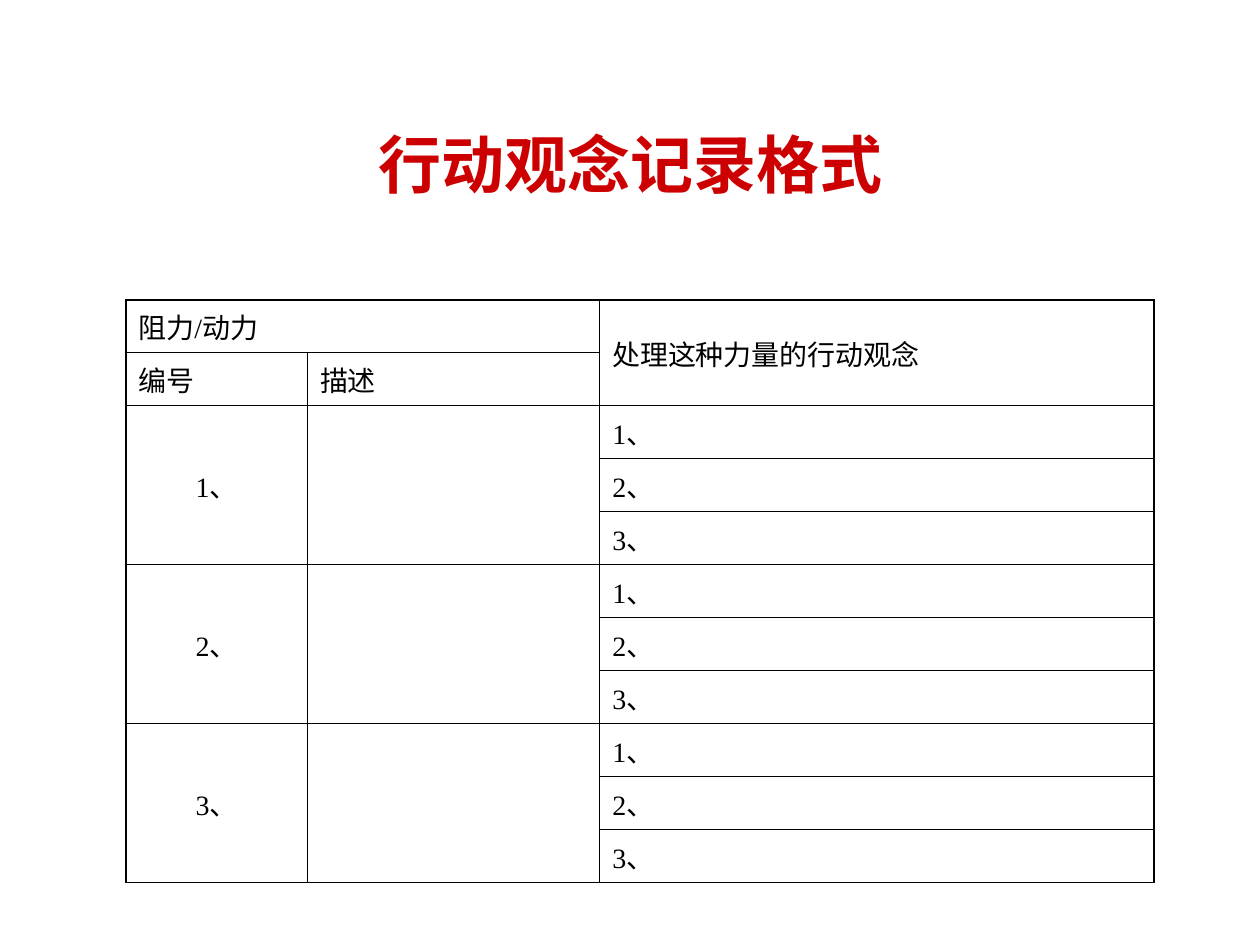
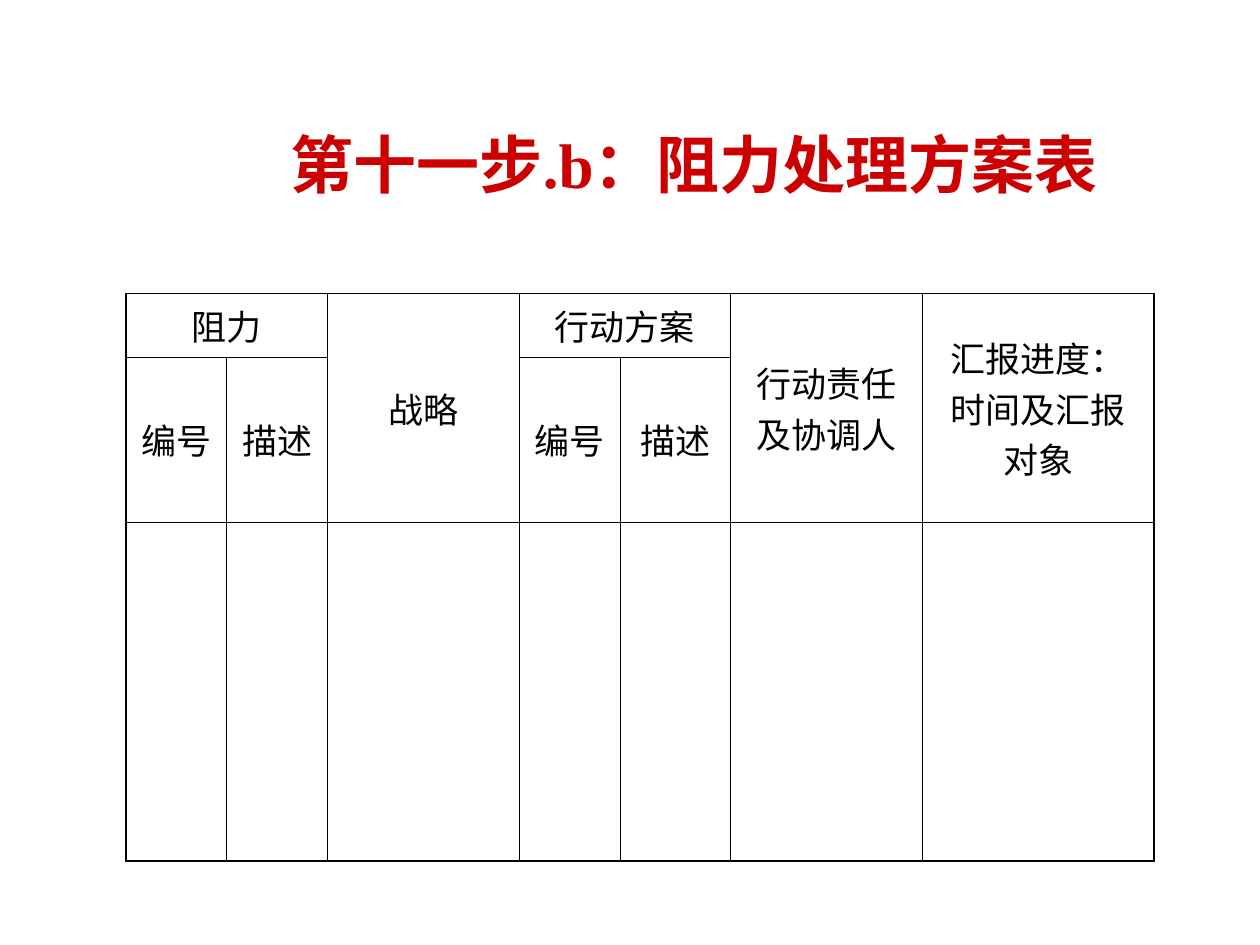
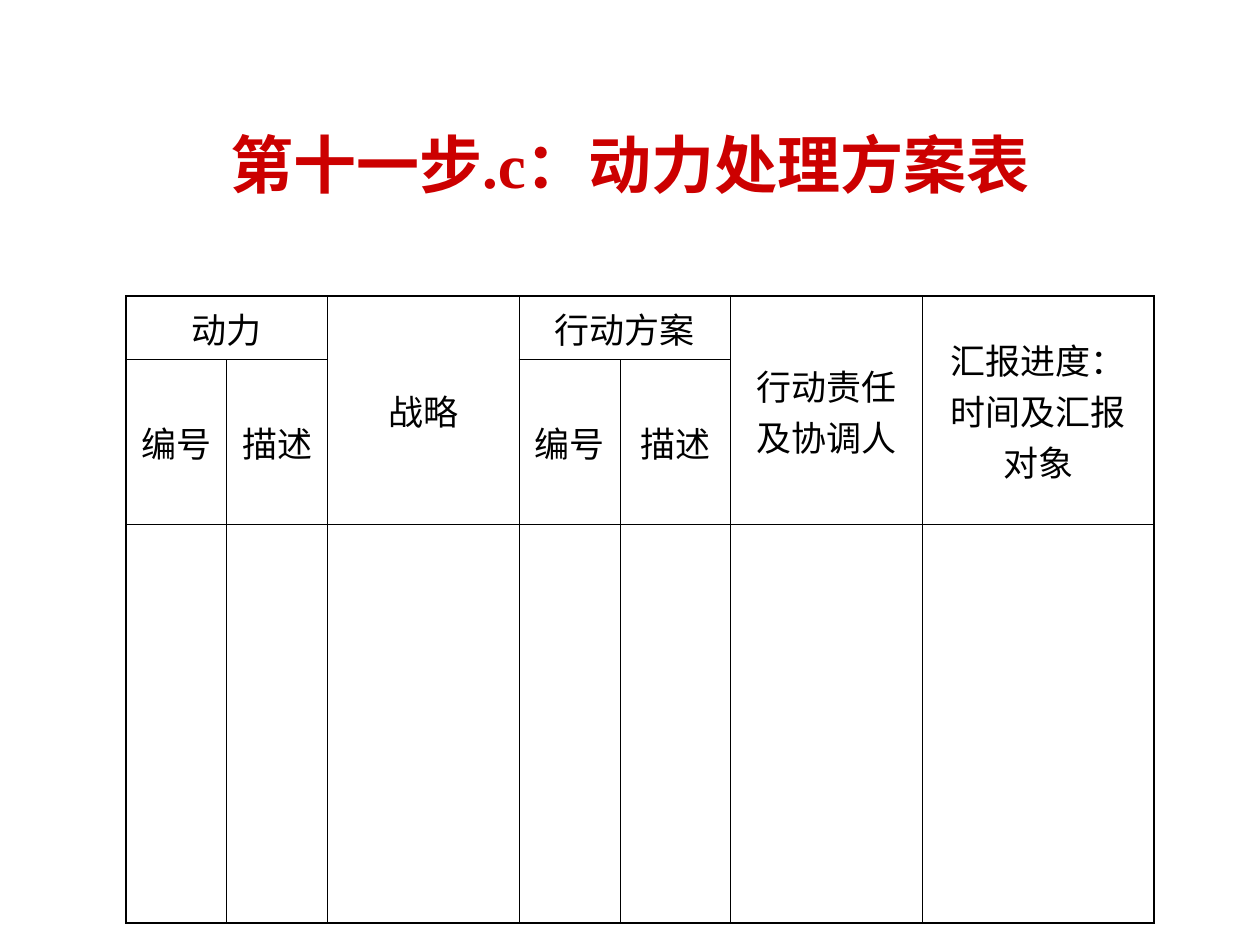
from lxml.etree import SubElement
from pptx import Presentation
from pptx.dml.color import RGBColor
from pptx.enum.text import MSO_ANCHOR, MSO_AUTO_SIZE, PP_ALIGN
from pptx.oxml.ns import qn
from pptx.util import Inches, Pt

COLORS = {"title": "CC0000", "text": "000000", "line": "000000"}
FONT = "Times New Roman"
OUTER_LINE = Pt(1.08)
INNER_LINE = Pt(0.45)
TITLE_BOX = (0.75, 0.67, 8.5, 1.25)
PLAN_COLUMNS = (0.8, 0.8, 1.52, 0.8, 0.88, 1.52, 1.84)


def style_font(font, size, color, bold=False):
    font.name = FONT
    font.size = Pt(size)
    font.bold = bold
    font.color.rgb = RGBColor.from_string(COLORS[color])


def add_page(deck, heading, box=TITLE_BOX):
    page = deck.slides.add_slide(deck.slide_layouts[5])
    title = page.shapes.title
    title.left, title.top, title.width, title.height = map(Inches, box)
    frame = title.text_frame
    frame.text = heading
    frame.auto_size = MSO_AUTO_SIZE.NONE
    frame.vertical_anchor = MSO_ANCHOR.MIDDLE
    para = frame.paragraphs[0]
    para.alignment = PP_ALIGN.CENTER
    for span in para.runs:
        style_font(span.font, 36, "title", bold=True)
    return page


def add_grid(page, left, top, widths, heights):
    grid = page.shapes.add_table(
        len(heights), len(widths), Inches(left), Inches(top),
        Inches(sum(widths)), Inches(sum(heights))).table
    grid.first_row = grid.horz_banding = False
    for column, width in zip(grid.columns, widths):
        column.width = Inches(width)
    for row, height in zip(grid.rows, heights):
        row.height = Inches(height)
    return grid


def write_cell(cell, text, size, align=PP_ALIGN.CENTER, anchor=MSO_ANCHOR.MIDDLE):
    cell.text = text
    cell.vertical_anchor = anchor
    para = cell.text_frame.paragraphs[0]
    para.alignment = align
    for span in para.runs:
        style_font(span.font, size, "text")


def merge_cells(grid, row, column, height, width):
    grid.cell(row, column).merge(grid.cell(row + height - 1, column + width - 1))


def draw_line(cell, side, width):
    line = SubElement(cell._tc.get_or_add_tcPr(), qn(f"a:ln{side}"), w=str(int(width)))
    fill = SubElement(line, qn("a:solidFill"))
    SubElement(fill, qn("a:srgbClr"), val=COLORS["line"])


def frame_region(grid, top, left, height, width):
    bottom, right = top + height, left + width
    outer = {"L": left == 0, "R": right == len(grid.columns),
             "T": top == 0, "B": bottom == len(grid.rows)}
    for row in range(top, bottom):
        for column in range(left, right):
            cell = grid.cell(row, column)
            on_edge = {"L": column == left, "R": column == right - 1,
                       "T": row == top, "B": row == bottom - 1}
            for side, is_outer in outer.items():
                if on_edge[side] or cell.is_merge_origin:
                    draw_line(cell, side, OUTER_LINE if is_outer else INNER_LINE)
            cell.fill.background()


def rule_grid(grid):
    for row in range(len(grid.rows)):
        for column in range(len(grid.columns)):
            cell = grid.cell(row, column)
            if cell.is_merge_origin:
                frame_region(grid, row, column, cell.span_height, cell.span_width)
            elif not cell.is_spanned:
                frame_region(grid, row, column, 1, 1)


def add_record_table(page, left, top):
    grid = add_grid(page, left, top, (1.44, 2.32, 4.4), [0.41] * 11)
    merge_cells(grid, 0, 0, 1, 2)
    merge_cells(grid, 0, 2, 2, 1)
    headers = {(0, 0): "阻力/动力", (0, 2): "处理这种力量的行动观念",
               (1, 0): "编号", (1, 1): "描述"}
    for place, text in headers.items():
        write_cell(grid.cell(*place), text, 16, PP_ALIGN.LEFT)
    for force in range(3):
        first = 2 + 3 * force
        merge_cells(grid, first, 0, 3, 1)
        merge_cells(grid, first, 1, 3, 1)
        write_cell(grid.cell(first, 0), f"{force + 1}、", 16)
        for idea in range(3):
            write_cell(grid.cell(first + idea, 2), f"{idea + 1}、", 16,
                       PP_ALIGN.LEFT, MSO_ANCHOR.TOP)
    rule_grid(grid)


def add_plan_table(page, left, top, force, body_height):
    grid = add_grid(page, left, top, PLAN_COLUMNS, (0.44, 1.1, body_height))
    for column, text in ((0, force), (3, "行动方案")):
        merge_cells(grid, 0, column, 1, 2)
        write_cell(grid.cell(0, column), text, 20)
        write_cell(grid.cell(1, column), "编号", 20)
        write_cell(grid.cell(1, column + 1), "描述", 20)
    for column, text in ((2, "战略"), (5, "行动责任及协调人"),
                         (6, "汇报进度：时间及汇报对象")):
        merge_cells(grid, 0, column, 2, 1)
        write_cell(grid.cell(0, column), text, 20)
    rule_grid(grid)


def main():
    deck = Presentation()
    deck.slide_width, deck.slide_height = Inches(10), Inches(7.5)
    add_record_table(add_page(deck, "行动观念记录格式"), 1, 2.38)
    page = add_page(deck, "第十一步.b：阻力处理方案表", (1.25, 0.67, 8.52, 1.25))
    add_plan_table(page, 1, 2.33, "阻力", 2.69)
    page = add_page(deck, "第十一步.c：动力处理方案表")
    add_plan_table(page, 1, 2.35, "动力", 3.16)
    deck.save("out.pptx")


if __name__ == "__main__":
    main()
